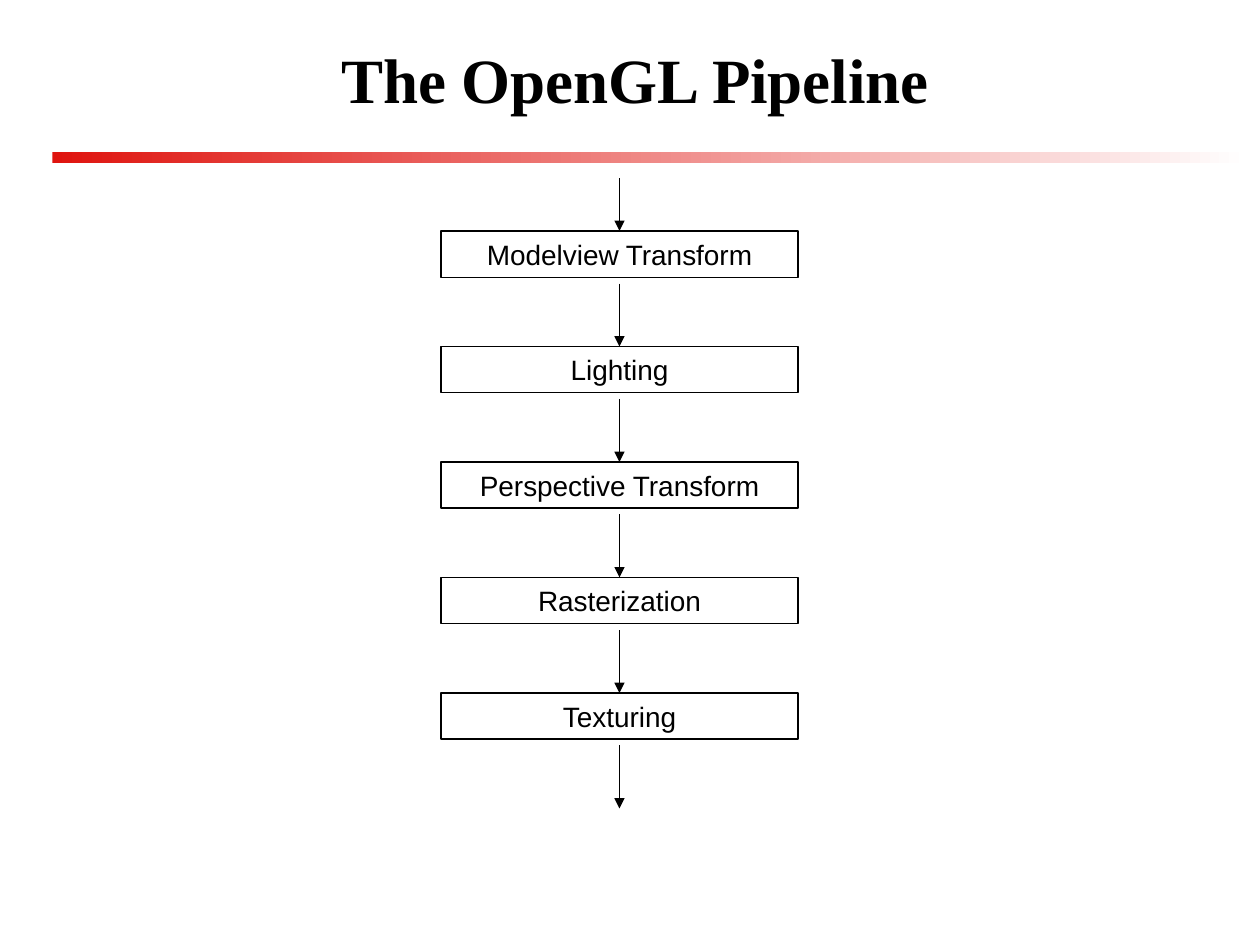
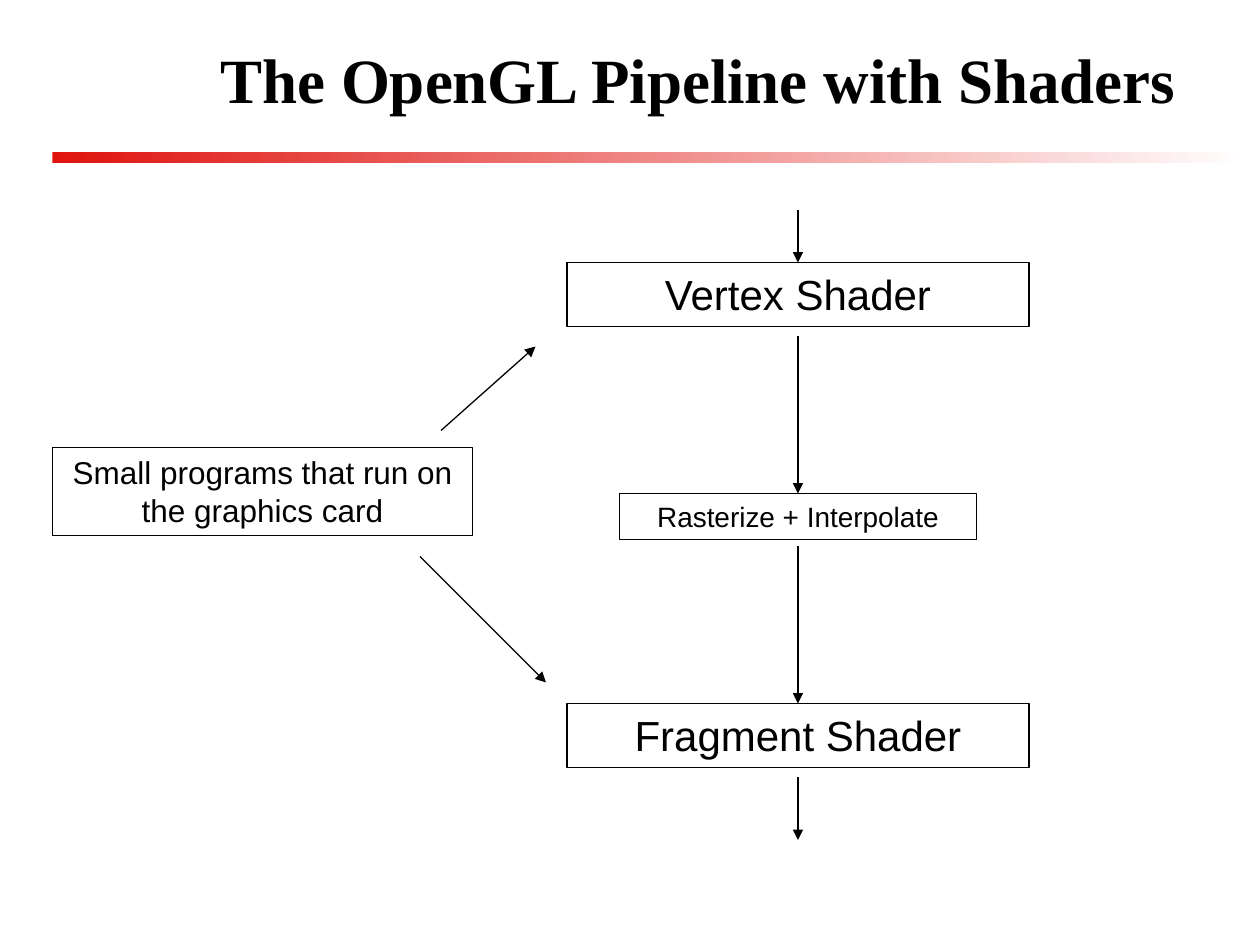
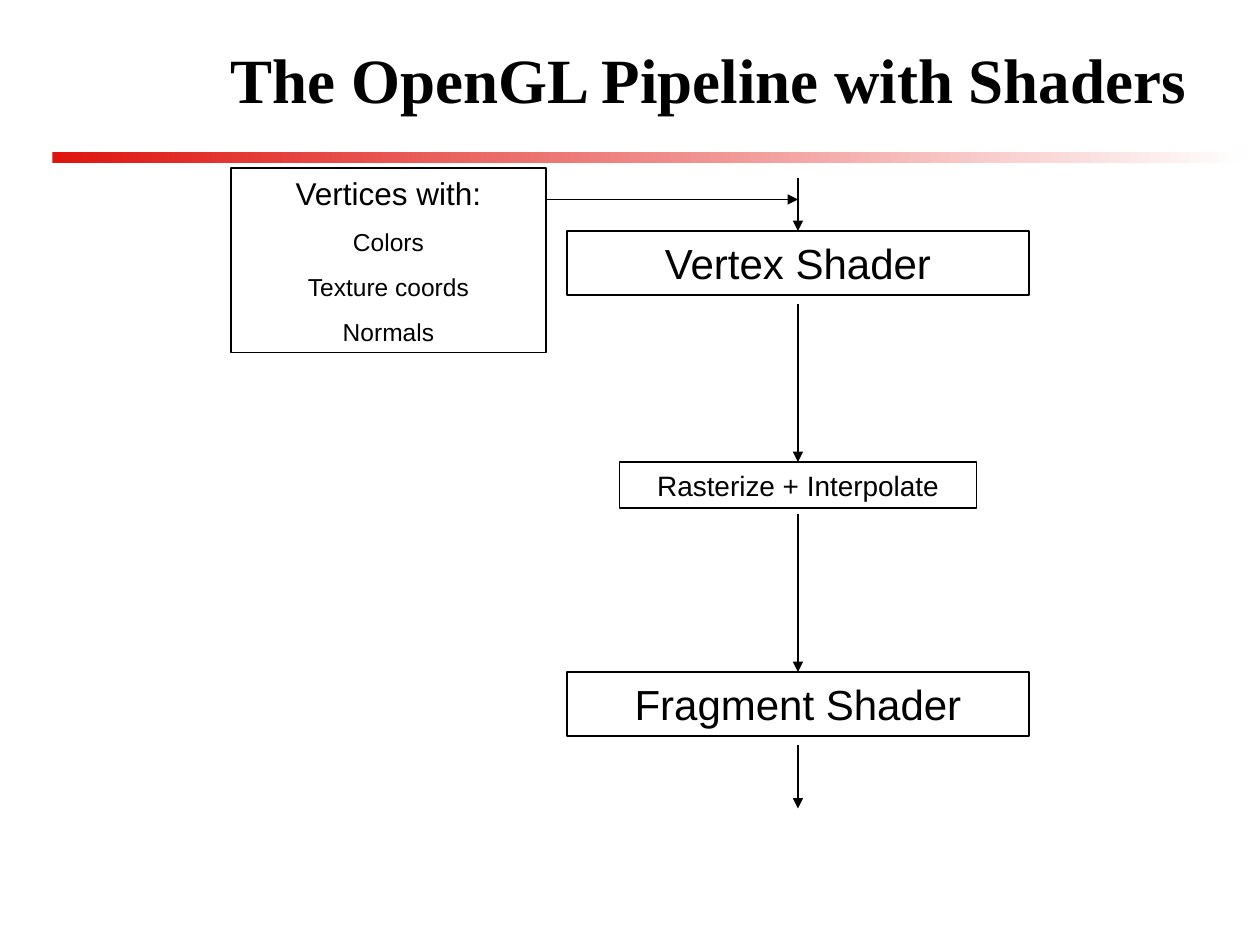
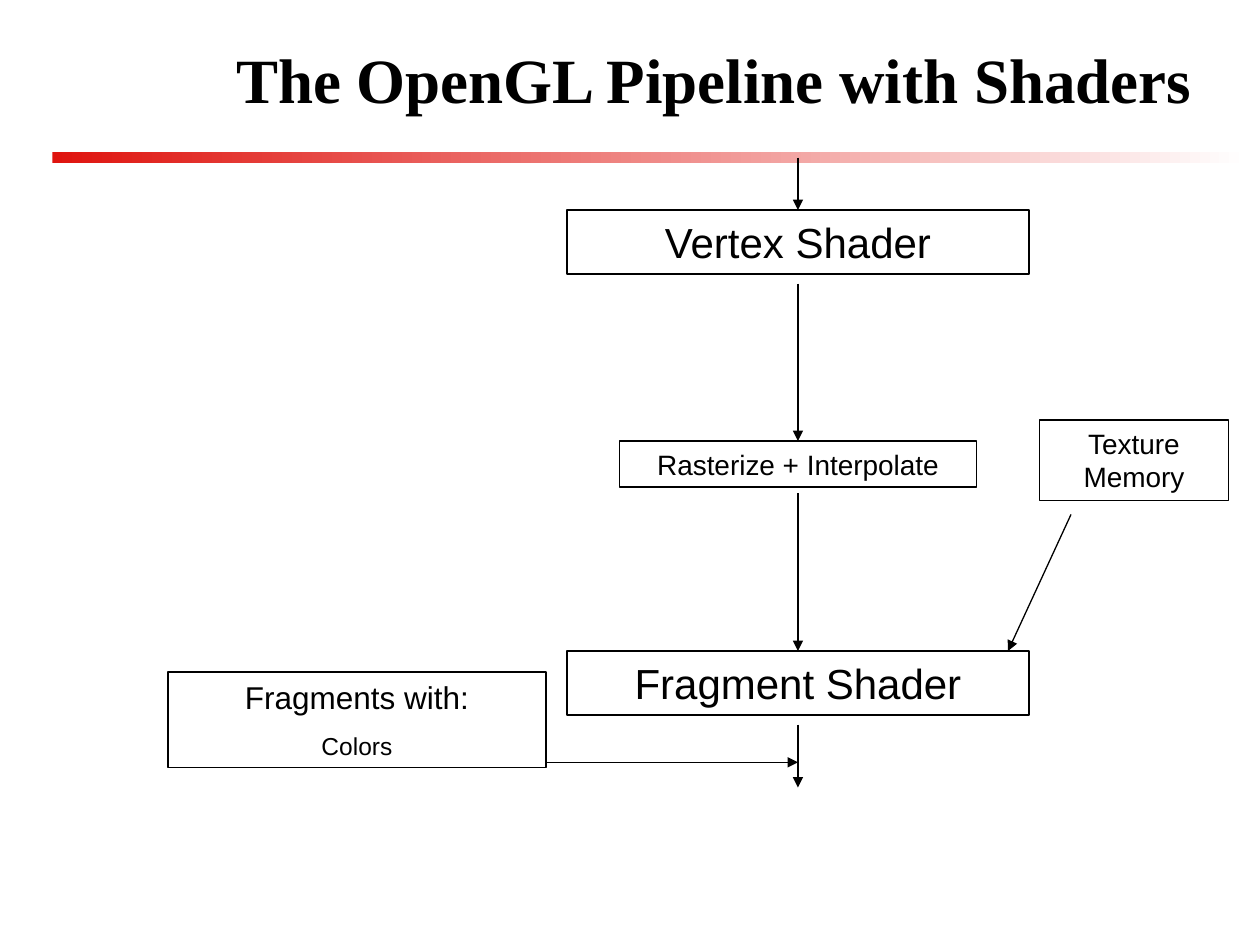
from lxml.etree import SubElement
from pptx import Presentation
from pptx.dml.color import RGBColor
from pptx.enum.shapes import MSO_CONNECTOR, MSO_SHAPE
from pptx.enum.text import MSO_ANCHOR, MSO_AUTO_SIZE, PP_ALIGN
from pptx.oxml.ns import qn
from pptx.util import Inches, Pt

BLACK = RGBColor(0x00, 0x00, 0x00)
WHITE = RGBColor(0xFF, 0xFF, 0xFF)
RED = RGBColor(0xDF, 0x14, 0x0F)

COLUMNS, ROWS = 120, 90  # twelve grid cells to the inch


class Deck:
    """Holds the shared style and the slide being built."""

    title_font = "Times New Roman"
    body_font = "Arial"
    line_width = Pt(0.75)

    def __init__(self):
        self.prs = Presentation()
        self.prs.slide_width, self.prs.slide_height = Inches(10), Inches(7.5)
        self.slide = None

    def x(self, column):
        return round(self.prs.slide_width * column / COLUMNS)

    def y(self, row):
        return round(self.prs.slide_height * row / ROWS)

    def frame(self, column, row, width, height):
        return self.x(column), self.y(row), self.x(width), self.y(height)

    def new_slide(self, title, title_width):
        self.slide = self.prs.slides.add_slide(self.prs.slide_layouts[6])
        self.band()
        heading = self.slide.shapes.add_textbox(*self.frame(16, 1, title_width, 13))
        heading.text_frame.word_wrap = True
        heading.text_frame.vertical_anchor = MSO_ANCHOR.MIDDLE
        self.add_text(heading.text_frame.paragraphs[0], title, 36, self.title_font, bold=True)

    def band(self):
        band = self.slide.shapes.add_shape(MSO_SHAPE.RECTANGLE, *self.frame(5, 14.5, 114, 1))
        band.shadow.inherit = False
        band.line.fill.background()
        band.fill.gradient()
        band.fill.gradient_angle = 0
        for stop, position, color in zip(band.fill.gradient_stops, (0, 1), (RED, WHITE)):
            stop.position = position
            stop.color.rgb = color

    def add_text(self, paragraph, text, size, font, bold=False):
        paragraph.alignment = PP_ALIGN.CENTER
        run = paragraph.add_run()
        run.text = text
        run.font.size = Pt(size)
        run.font.name = font
        run.font.bold = bold
        run.font.color.rgb = BLACK

    def box(self, column, row, width, height, text, size, space=11.2, details=()):
        """Outlined box with a main line and smaller lines under it."""
        box = self.slide.shapes.add_shape(
            MSO_SHAPE.RECTANGLE, *self.frame(column, row, width, height))
        box.shadow.inherit = False
        box.fill.background()
        box.line.color.rgb = BLACK
        box.line.width = self.line_width
        frame = box.text_frame
        frame.word_wrap = True
        frame.vertical_anchor = MSO_ANCHOR.TOP
        frame.auto_size = MSO_AUTO_SIZE.SHAPE_TO_FIT_TEXT
        main_line = frame.paragraphs[0]
        main_line.space_before = Pt(space)
        self.add_text(main_line, text, size, self.body_font)
        for detail in details:
            detail_line = frame.add_paragraph()
            detail_line.space_before = Pt(8.8)
            self.add_text(detail_line, detail, 14, self.body_font)

    def stage(self, column, row, text):
        self.box(column, row, 34, 4.4, text, 16)

    def shader(self, row, text):
        self.box(54, row, 44, 6.1, text, 24, space=17.5)

    def arrow(self, start, end):
        arrow = self.slide.shapes.add_connector(
            MSO_CONNECTOR.STRAIGHT,
            self.x(start[0]), self.y(start[1]), self.x(end[0]), self.y(end[1]))
        arrow.line.color.rgb = BLACK
        arrow.line.width = self.line_width
        properties = arrow.element.spPr
        SubElement(properties.get_or_add_ln(), qn("a:tailEnd"), type="triangle")
        SubElement(properties, qn("a:effectLst"))

    def flow(self, column, spans):
        """Downward arrows in one column, each from one row to another."""
        for first, last in spans:
            self.arrow((column, first), (column, last))

    def shader_pipeline(self, top):
        self.shader(top, "Vertex Shader")
        self.stage(59, top + 22, "Rasterize + Interpolate")
        self.shader(top + 42, "Fragment Shader")
        spans = ((-5, 0), (7, 22), (27, 42), (49, 55))
        self.flow(76, [(top + first, top + last) for first, last in spans])


def main():
    deck = Deck()
    shader_title = "The OpenGL Pipeline with Shaders"

    # Fixed pipeline
    deck.new_slide("The OpenGL Pipeline", 89)
    stages = ("Modelview Transform", "Lighting", "Perspective Transform",
              "Rasterization", "Texturing")
    top, pitch = 22, 11
    stage_rows = [top + pitch * i for i in range(len(stages))]
    for row, stage in zip(stage_rows, stages):
        deck.stage(42, row, stage)
    deck.flow(59, [(top - 5, top)] + [(row + 5, row + pitch) for row in stage_rows])

    # Shaders as small programs
    deck.new_slide(shader_title, 101)
    deck.shader_pipeline(25)
    deck.box(5, 42.6, 40, 8.4, "Small programs that run on the graphics card", 18)
    deck.arrow((42, 41), (51, 33))
    deck.arrow((40, 53), (52, 65))

    # Input of the vertex shader
    deck.new_slide(shader_title, 103)
    deck.shader_pipeline(22)
    deck.arrow((52, 19), (76, 19))
    deck.box(22, 16, 30, 17.6, "Vertices with:", 18,
             details=("Colors", "Texture coords", "Normals"))

    # Output and texture access of the fragment shader
    deck.new_slide(shader_title, 104)
    deck.shader_pipeline(20)
    deck.arrow((52, 72.6), (76, 72.6))
    deck.box(16, 64, 36, 9.1, "Fragments with:", 18, details=("Colors",))
    deck.box(99, 40, 18, 7.7, "Texture Memory", 16)
    deck.arrow((102, 49), (96, 62))

    deck.prs.save("out.pptx")


if __name__ == "__main__":
    main()
